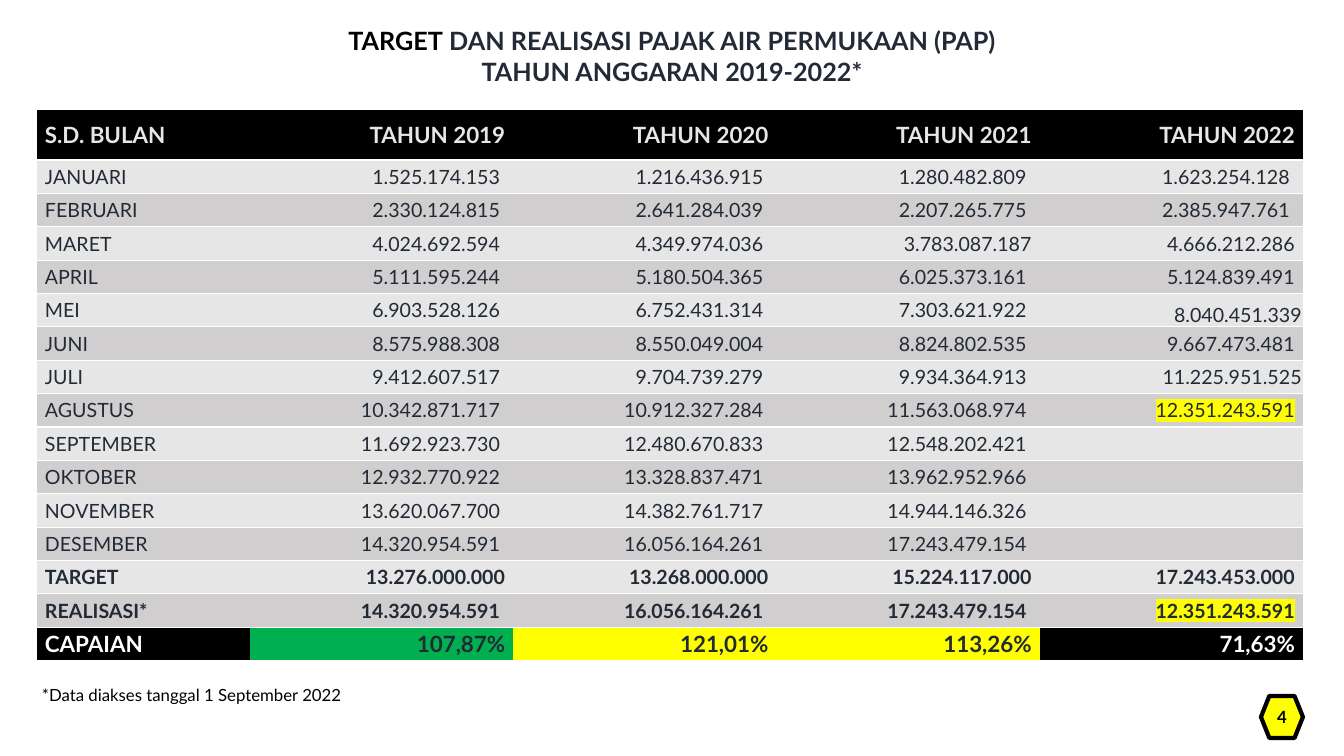
from dataclasses import dataclass

from lxml.etree import SubElement
from pptx import Presentation
from pptx.dml.color import RGBColor
from pptx.enum.shapes import MSO_SHAPE
from pptx.enum.text import MSO_ANCHOR as ANCHOR, MSO_AUTO_SIZE as AUTO, PP_ALIGN as ALIGN
from pptx.oxml import parse_xml
from pptx.oxml.ns import nsdecls, qn
from pptx.util import Emu, Pt


@dataclass(frozen=True)
class Theme:
    font: str = "Lato"
    black: str = "000000"
    white: str = "FFFFFF"
    ink: str = "222A35"
    light: str = "E7E6E6"
    dark: str = "D0CECE"
    yellow: str = "FFFF00"
    green: str = "00B050"
    title: int = 18
    strong: int = 16
    body: int = 14
    small: int = 12


T = Theme()
NO_STYLE = "{2D5ABB26-0587-4C30-8999-92F81FD0307C}"
PAD = 8
NUMBER_PAD = 13
LABEL_W = 213
HEADER_H = 51

HEADER = ["S.D. BULAN", "TAHUN 2019", "TAHUN 2020", "TAHUN 2021", "TAHUN 2022"]
ROWS = [
    ["JANUARI", "1.525.174.153", "1.216.436.915", "1.280.482.809", "1.623.254.128"],
    ["FEBRUARI", "2.330.124.815", "2.641.284.039", "2.207.265.775", "2.385.947.761"],
    ["MARET", "4.024.692.594", "4.349.974.036", "3.783.087.187", "4.666.212.286"],
    ["APRIL", "5.111.595.244", "5.180.504.365", "6.025.373.161", "5.124.839.491"],
    ["MEI", "6.903.528.126", "6.752.431.314", "7.303.621.922", "8.040.451.339"],
    ["JUNI", "8.575.988.308", "8.550.049.004", "8.824.802.535", "9.667.473.481"],
    ["JULI", "9.412.607.517", "9.704.739.279", "9.934.364.913", "11.225.951.525"],
    ["AGUSTUS", "10.342.871.717", "10.912.327.284", "11.563.068.974", "12.351.243.591"],
    ["SEPTEMBER", "11.692.923.730", "12.480.670.833", "12.548.202.421", ""],
    ["OKTOBER", "12.932.770.922", "13.328.837.471", "13.962.952.966", ""],
    ["NOVEMBER", "13.620.067.700", "14.382.761.717", "14.944.146.326", ""],
    ["DESEMBER", "14.320.954.591", "16.056.164.261", "17.243.479.154", ""],
    ["TARGET", "13.276.000.000", "13.268.000.000", "15.224.117.000", "17.243.453.000"],
    ["REALISASI*", "14.320.954.591", "16.056.164.261", "17.243.479.154", "12.351.243.591"],
]
SUMMARY = ["CAPAIAN", "107,87%", "121,01%", "113,26%", "71,63%"]
SUMMARY_FILLS = [T.black, T.green, T.yellow, T.yellow, T.black]
TOTALS = ("TARGET", "REALISASI*")
HIGHLIGHTED = "12.351.243.591"
# Right padding of the cells that differ from NUMBER_PAD, by row label and column
RIGHT_PADS = {("MARET", 3): PAD, ("MEI", 4): 1, ("JULI", 4): 1}
RIGHT_PADS |= {(label, 4): PAD for label in ("MARET", "APRIL", "JUNI", "AGUSTUS", "REALISASI*")}
RIGHT_PADS |= {("TARGET", col): PAD for col in range(1, 5)}


def px(n):
    return Emu(round(n * 914400 / 100.8))


def rgb(color):
    return RGBColor.from_string(color)


def add_run(p, text, size, color, bold=False, highlight=None):
    r = p.add_run()
    r.text = text
    f = r.font
    f.name, f.size, f.bold = T.font, Pt(size), bold
    f.color.rgb = rgb(color)
    if highlight:
        mark = parse_xml(f'<a:highlight {nsdecls("a")}><a:srgbClr val="{highlight}"/></a:highlight>')
        r._r.rPr.find(qn("a:solidFill")).addnext(mark)


def add_title(s, x, y, w, h):
    tf = s.shapes.add_textbox(px(x), px(y), px(w), px(h)).text_frame
    tf.word_wrap = True
    tf.vertical_anchor = ANCHOR.MIDDLE
    first, second = tf.paragraphs[0], tf.add_paragraph()
    first.alignment = second.alignment = ALIGN.CENTER
    add_run(first, "TARGET", T.title, T.black, True)
    add_run(first, " DAN REALISASI PAJAK AIR PERMUKAAN (PAP)", T.title, T.ink, True)
    add_run(second, "TAHUN ANGGARAN 2019-2022*", T.title, T.ink, True)


def add_rules(cell):
    """Draw white lines above and below the cell; call before setting its fill."""
    tcPr = cell._tc.get_or_add_tcPr()
    for side in ("a:lnT", "a:lnB"):
        ln = SubElement(tcPr, qn(side), w=str(Pt(1)))
        SubElement(SubElement(ln, qn("a:solidFill")), qn("a:srgbClr"), val=T.white)


def fill_cell(cell, col, text, fill, size, color, bold, right=PAD, highlight=None):
    add_rules(cell)
    cell.fill.solid()
    cell.fill.fore_color.rgb = rgb(fill)
    cell.margin_left = px(0 if col else PAD)
    cell.margin_right = px(right)
    cell.margin_top = cell.margin_bottom = px(0)
    cell.vertical_anchor = ANCHOR.MIDDLE
    p = cell.text_frame.paragraphs[0]
    p.alignment = ALIGN.RIGHT if col else ALIGN.LEFT
    if text:
        add_run(p, text, size, color, bold, highlight)


def add_tax_table(s, x, y, w, h):
    n_rows, n_cols = len(ROWS) + 2, len(HEADER)
    frame = s.shapes.add_table(n_rows, n_cols, px(x), px(y), px(w), px(h))
    table = frame.table
    table.first_row = table.horz_banding = False
    table._tbl.tblPr.find(qn("a:tableStyleId")).text = NO_STYLE
    for i, column in enumerate(table.columns):
        column.width = px((w - LABEL_W) / (n_cols - 1) if i else LABEL_W)
    for i, row in enumerate(table.rows):
        row.height = px((h - HEADER_H) / (n_rows - 1) if i else HEADER_H)

    for col, text in enumerate(HEADER):
        fill_cell(table.cell(0, col), col, text, T.black, T.strong, T.light, True)
    for i, values in enumerate(ROWS):
        label = values[0]
        fill = T.dark if i % 2 else T.light
        for col, text in enumerate(values):
            right = RIGHT_PADS.get((label, col), NUMBER_PAD if col else PAD)
            highlight = T.yellow if text == HIGHLIGHTED else None
            cell = table.cell(i + 1, col)
            fill_cell(cell, col, text, fill, T.body, T.ink, label in TOTALS, right, highlight)
            if (label, col) == ("MEI", 4):
                cell.vertical_anchor = ANCHOR.BOTTOM
    for col, (text, fill) in enumerate(zip(SUMMARY, SUMMARY_FILLS)):
        color = T.white if fill == T.black else T.ink
        fill_cell(table.cell(n_rows - 1, col), col, text, fill, T.strong, color, True)


def add_footnote(s, x, y, w, h):
    tf = s.shapes.add_textbox(px(x), px(y), px(w), px(h)).text_frame
    tf.word_wrap = True
    tf.auto_size = AUTO.SHAPE_TO_FIT_TEXT
    add_run(tf.paragraphs[0], "*Data diakses tanggal 1 September 2022", T.small, T.black)


def add_page_number(s, x, y, w, h):
    sp = s.shapes.add_shape(MSO_SHAPE.FLOWCHART_PREPARATION, px(x), px(y), px(w), px(h))
    sp.shadow.inherit = False
    sp.fill.solid()
    sp.fill.fore_color.rgb = rgb(T.yellow)
    sp.line.color.rgb = rgb(T.black)
    sp.line.width = Pt(3)
    tf = sp.text_frame
    tf.margin_left = tf.margin_right = tf.margin_top = tf.margin_bottom = 0
    tf.vertical_anchor = ANCHOR.MIDDLE
    p = tf.paragraphs[0]
    p.alignment = ALIGN.CENTER
    add_run(p, "4", T.small, T.black, True)


def main():
    prs = Presentation()
    prs.slide_width, prs.slide_height = px(1344), px(756)
    s = prs.slides.add_slide(prs.slide_layouts[6])
    add_title(s, 0, 0, 1344, 112)
    add_page_number(s, 1261, 696, 42, 42)
    add_tax_table(s, 37, 109, 1266, 552)
    add_footnote(s, 32, 680, 403, 30)
    prs.save("out.pptx")


if __name__ == "__main__":
    main()
